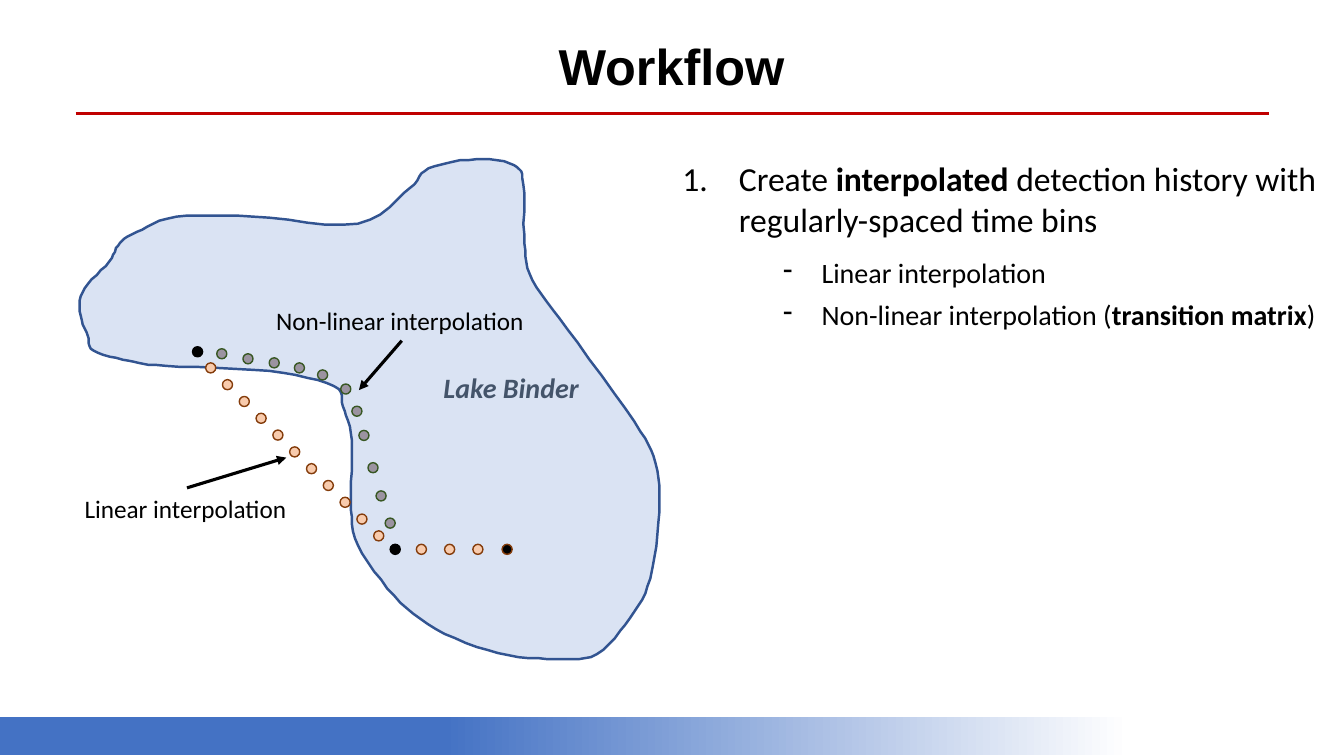
import dataclasses

import lxml.etree
import pptx
import pptx.dml.color
import pptx.enum.shapes
import pptx.enum.text
import pptx.oxml.ns
import pptx.util

Inches = pptx.util.Inches
Pt = pptx.util.Pt
qn = pptx.oxml.ns.qn
Shape = pptx.enum.shapes.MSO_SHAPE
Align = pptx.enum.text.PP_ALIGN


@dataclasses.dataclass(frozen=True)
class Theme:
    black: str = "000000"
    white: str = "FFFFFF"
    red: str = "C00000"
    blue: str = "4472C4"
    lake: str = "DAE3F3"
    shore: str = "325491"
    peach: str = "F8CBAD"
    brown: str = "843C0B"
    gray: str = "9B93A0"
    green: str = "385723"
    slate: str = "44546A"
    head: str = "Arial"
    body: str = "Calibri"
    title: int = 36
    main: int = 24
    sub: int = 20
    label: int = 18


T = Theme()
DOT = 0.1

# Bends of the shore, in hundredths of an inch from the map's corner
SHORE = [
    (96, 57), (57, 72), (40, 83), (29, 102), (5, 128), (0, 151), (8, 175),
    (14, 190), (49, 200), (85, 205), (188, 210), (252, 225), (261, 245),
    (270, 279), (269, 340), (276, 383), (312, 433), (353, 466), (415, 490),
    (473, 496), (513, 491), (546, 455), (566, 416), (575, 350), (571, 301),
    (550, 260), (484, 169), (449, 120), (441, 83), (440, 25), (431, 6),
    (393, 0), (346, 9), (327, 29), (276, 64), (172, 57),
]

# Dots of the curved track, in inches from the map's corner
CURVE = [
    (1.36, 1.88), (1.62, 1.93), (1.88, 1.97), (2.13, 2.02), (2.36, 2.09),
    (2.59, 2.23), (2.7, 2.45), (2.77, 2.69), (2.86, 3.01), (2.94, 3.29),
    (3.03, 3.56),
]


def smooth(bends, steps=6):
    """Points of a closed Catmull-Rom curve through the bends."""
    points = []
    for i in range(len(bends)):
        near = [bends[(i + k) % len(bends)] for k in (-1, 0, 1, 2)]
        for t in (s / steps for s in range(steps)):
            points.append(tuple(
                b + t / 2 * (c - a + t * (2 * a - 5 * b + 4 * c - d
                                          + t * (3 * (b - c) + d - a)))
                for a, b, c, d in zip(*near)))
    return points


def tint(code):
    return pptx.dml.color.RGBColor.from_string(code)


def paint(shape, fill, line, width=1):
    shape.shadow.inherit = False
    shape.fill.solid()
    shape.fill.fore_color.rgb = tint(fill)
    shape.line.color.rgb = tint(line)
    shape.line.width = Pt(width)


def write(para, parts, size, font=T.body, color=T.black, bold=False, slant=False):
    """Fill a paragraph; every second part is set in the other weight."""
    for i, part in enumerate(parts):
        run = para.add_run()
        run.text = part
        run.font.size = Pt(size)
        run.font.name = font
        run.font.bold = bold != (i % 2 == 1)
        run.font.italic = slant
        run.font.color.rgb = tint(color)


def frame(slide, box, wrap=True):
    shape = slide.shapes.add_textbox(*map(Inches, box))
    shape.text_frame.word_wrap = wrap
    shape.text_frame.auto_size = pptx.enum.text.MSO_AUTO_SIZE.SHAPE_TO_FIT_TEXT
    return shape


def note(slide, box, text, size=T.label, **form):
    shape = frame(slide, box, wrap=False)
    write(shape.text_frame.paragraphs[0], [text], size, **form)
    return shape


def rule(slide, start, end, color, arrow=False):
    line = slide.shapes.add_connector(
        pptx.enum.shapes.MSO_CONNECTOR.STRAIGHT, *map(Inches, start + end))
    line.line.color.rgb = tint(color)
    line.line.width = Pt(2.25)
    if arrow:
        lxml.etree.SubElement(line.line._get_or_add_ln(), qn("a:tailEnd"), type="triangle")
    lxml.etree.SubElement(line._element.spPr, qn("a:effectLst"))
    return line


def header(slide, x, y, w):
    title = frame(slide, (x + 1.2, y, w - 2.42, 0.71))
    para = title.text_frame.paragraphs[0]
    para.alignment = Align.CENTER
    write(para, ["Workflow"], T.title, font=T.head, bold=True)
    rule(slide, (x, y + 0.83), (x + w, y + 0.83), T.red)


def footer(slide, x, y, w, h):
    bar = slide.shapes.add_shape(Shape.RECTANGLE, *map(Inches, (x, y, w, h)))
    bar.shadow.inherit = False
    bar.line.fill.background()
    bar.fill.gradient()
    bar.fill.gradient_angle = 0
    stops = ((0.33, T.blue), (0.84, T.white))
    for stop, (place, color) in zip(bar.fill.gradient_stops, stops):
        stop.position = place
        stop.color.rgb = tint(color)


def chart_lake(slide, x, y):
    # Lake
    first, *rest = smooth(SHORE)
    form = slide.shapes.build_freeform(*first, scale=Inches(0.01))
    form.add_line_segments(rest, close=True)
    paint(form.convert_to_shape(Inches(x), Inches(y)), T.lake, T.shore, 1.75)

    # Tracks between the known places
    line = [(1.25 + i / 6, 2.02 + i / 6) for i in range(11)]
    line += [(3.34 + 0.28 * i, 3.82) for i in range(3)]
    tracks = (
        ([(1.12, 1.86), (3.08, 3.82)], T.black, T.black),
        (line, T.peach, T.brown),
        ([(4.19, 3.82)], T.black, T.brown),
        (CURVE, T.gray, T.green),
    )
    for spots, fill, edge in tracks:
        for dx, dy in spots:
            dot = slide.shapes.add_shape(
                Shape.OVAL, *map(Inches, (x + dx, y + dy, DOT, DOT)))
            paint(dot, fill, edge)

    # Labels, with an arrow from a side of each (0 top, 2 bottom)
    labels = (
        ("Linear interpolation", -0.05, 3.26, 2.23, 0, (2.05, 2.96)),
        ("Non-linear interpolation", 1.85, 1.4, 2.69, 2, (2.77, 2.29)),
    )
    for text, dx, dy, w, side, (tx, ty) in labels:
        label = note(slide, (x + dx, y + dy, w, 0.4), text)
        tip = (x + tx, y + ty)
        rule(slide, tip, tip, T.black, arrow=True).begin_connect(label, side)
    note(slide, (x + 3.51, y + 2.05, 1.56, 0.44), "Lake Binder", T.sub,
         color=T.slate, bold=True, slant=True)


def steps(slide, x, y, w, h):
    text = frame(slide, (x, y, w, h)).text_frame
    dash = ("a:buChar", {"char": "-"}, 1, 1.38, 0.38)
    count = ("a:buAutoNum", {"type": "arabicPeriod"}, 0, 0.56, 0.56)
    items = (
        (["Create ", "interpolated", " detection history with regularly-spaced time bins"],
         T.main, 12, count),
        (["Linear interpolation"], T.sub, 6, dash),
        (["Non-linear interpolation (", "transition matrix", ")"], T.sub, 12, dash),
    )
    for i, (parts, size, after, (tag, mark, level, left, hang)) in enumerate(items):
        para = text.add_paragraph() if i else text.paragraphs[0]
        para.level = level
        props = para._p.get_or_add_pPr()
        props.set("marL", str(Inches(left)))
        props.set("indent", str(-Inches(hang)))
        lxml.etree.SubElement(props, qn(tag), **mark)
        para.space_after = Pt(after)
        write(para, parts, size)


def main():
    deck = pptx.Presentation()
    deck.slide_width, deck.slide_height = Inches(13.33), Inches(7.5)
    slide = deck.slides.add_slide(deck.slide_layouts[6])
    header(slide, 0.75, 0.3, 11.84)
    chart_lake(slide, 0.79, 1.58)
    steps(slide, 6.67, 1.52, 6.5, 2.41)
    footer(slide, 0, 7.11, 13.33, 0.38)
    deck.save("out.pptx")


if __name__ == "__main__":
    main()
